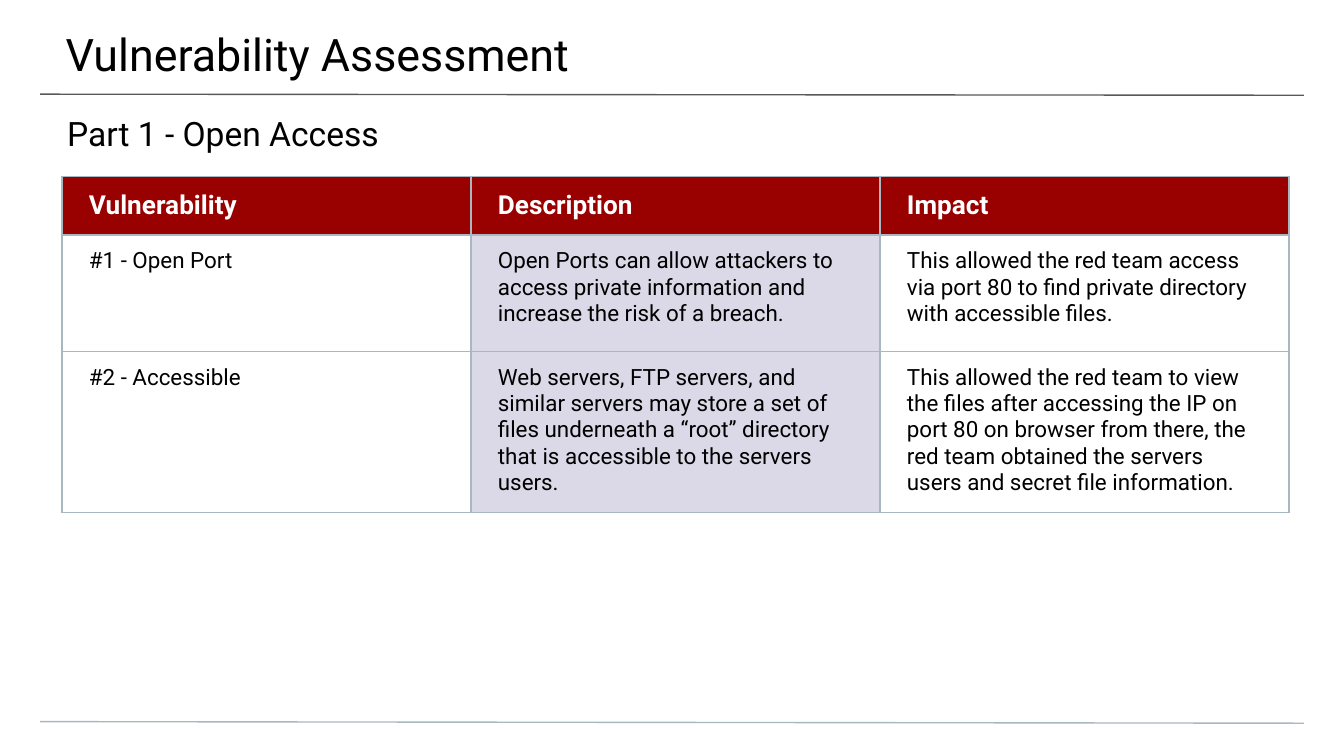
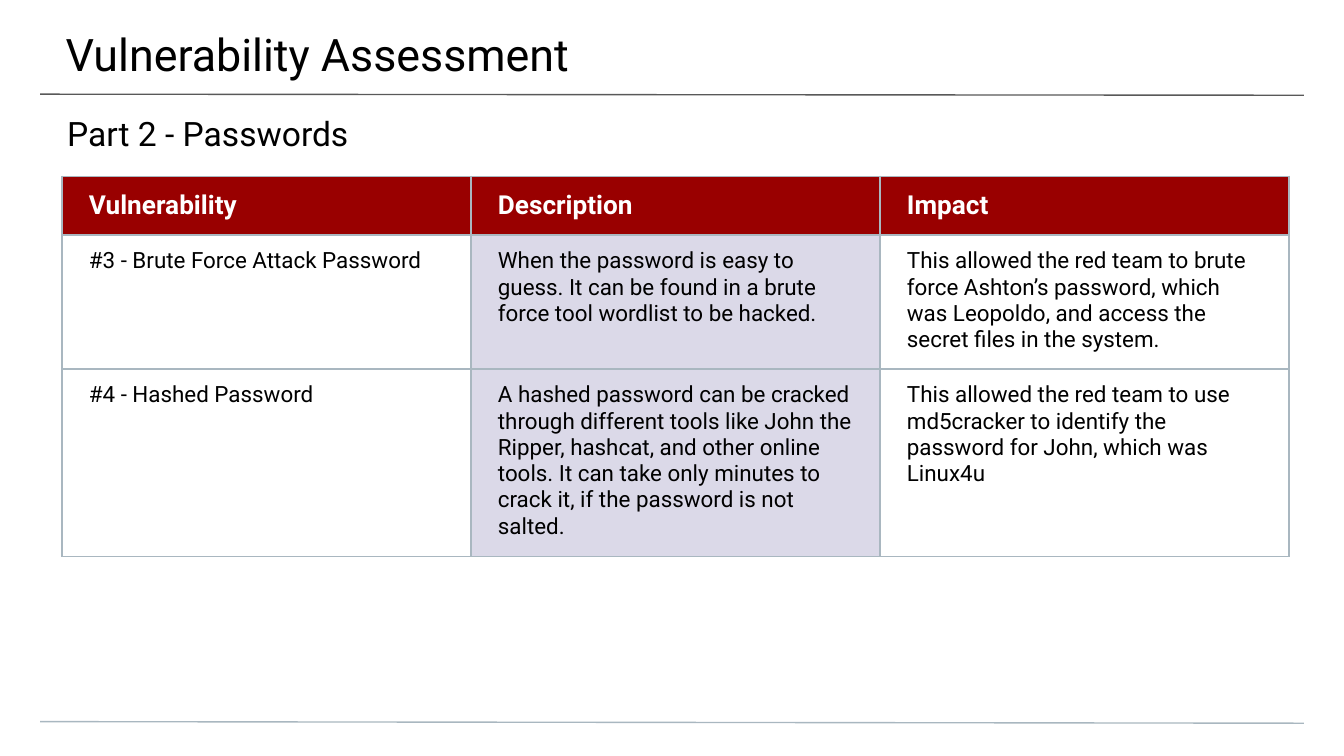
import dataclasses

import lxml.etree
import pptx
import pptx.dml.color
import pptx.enum.shapes
import pptx.enum.text
import pptx.oxml.ns
import pptx.presentation
import pptx.slide
import pptx.table
import pptx.text.text
import pptx.util

Cm = pptx.util.Cm
Pt = pptx.util.Pt
qn = pptx.oxml.ns.qn

FONT = "Roboto"
BLACK = "000000"
WHITE = "FFFFFF"
HEADER_RED = "990000"
DESCRIPTION_LILAC = "DBD9E8"
TITLE_RULE_GREY = "595959"
BORDER_GREY = "A9B7C0"
LINE_WIDTH = Pt(0.75)

TITLE = "Vulnerability Assessment"
HEADINGS = ("Vulnerability", "Description", "Impact")
DESCRIPTION_COLUMN = HEADINGS.index("Description")
COLUMN_WIDTH = Cm(7.73)
ROW_HEIGHTS = (Cm(1.11), Cm(2.2), Cm(2.2))


@dataclasses.dataclass(frozen=True)
class Rule:
    start_y: float
    end_y: float
    color: str


@dataclasses.dataclass(frozen=True)
class Heading:
    left: float
    top: float
    width: float
    height: float
    insets: tuple[float, float, float, float]
    size: int


@dataclasses.dataclass(frozen=True)
class Finding:
    name: str
    description: str
    impact: str


@dataclasses.dataclass(frozen=True)
class Part:
    subtitle: str
    findings: tuple[Finding, ...]


RULES = (Rule(1.78, 1.8, TITLE_RULE_GREY), Rule(13.64, 13.67, BORDER_GREY))
TITLE_BOX = Heading(-0.03, 0, 25.48, 1.47, (1.27, 0.51, 0.76, 0.25), 24)
SUBTITLE_BOX = Heading(0, 1.88, 25.4, 1.02, (1.27, 0.25, 1.27, 0), 18)

PARTS = (
    Part("Part 1 - Open Access", (
        Finding(
            "#1 - Open Port",
            "Open Ports can allow attackers to access private information and "
            "increase the risk of a breach.",
            "This allowed the red team access via port 80 to find private "
            "directory with accessible files.",
        ),
        Finding(
            "#2 - Accessible",
            "Web servers, FTP servers, and similar servers may store a set of files "
            "underneath a “root” directory that is accessible to the servers users.",
            "This allowed the red team to view the files after accessing the IP on "
            "port 80 on browser from there, the red team obtained the servers users "
            "and secret file information.",
        ),
    )),
    Part("Part 2 - Passwords", (
        Finding(
            "#3 - Brute Force Attack Password",
            "When the password is easy to guess. It can be found in a brute force "
            "tool wordlist to be hacked.",
            "This allowed the red team to brute force Ashton’s password, which was "
            "Leopoldo, and access the secret files in the system.",
        ),
        Finding(
            "#4 - Hashed Password",
            "A hashed password can be cracked through different tools like John the "
            "Ripper, hashcat, and other online tools. It can take only minutes to "
            "crack it, if the password is not salted.",
            "This allowed the red team to use md5cracker to identify the password "
            "for John, which was Linux4u",
        ),
    )),
)


def rgb(color: str) -> pptx.dml.color.RGBColor:
    return pptx.dml.color.RGBColor.from_string(color)


def write_text(frame: pptx.text.text.TextFrame, text: str, *, size: int,
               color: str = BLACK, bold: bool = False) -> None:
    frame.word_wrap = True
    run = frame.paragraphs[0].add_run()
    run.text = text
    run.font.name = FONT
    run.font.size = Pt(size)
    run.font.bold = bold
    run.font.color.rgb = rgb(color)


def set_insets(target: pptx.text.text.TextFrame | pptx.table._Cell,
               insets: tuple[float, float, float, float]) -> None:
    (target.margin_left, target.margin_top,
     target.margin_right, target.margin_bottom) = map(Cm, insets)


def draw_rule(slide: pptx.slide.Slide, rule: Rule) -> None:
    connector = slide.shapes.add_connector(
        pptx.enum.shapes.MSO_CONNECTOR.STRAIGHT,
        Cm(0.76), Cm(rule.start_y), Cm(24.64), Cm(rule.end_y))
    connector.line.color.rgb = rgb(rule.color)
    connector.line.width = LINE_WIDTH
    lxml.etree.SubElement(connector._element.spPr, qn("a:effectLst"))


def draw_heading(slide: pptx.slide.Slide, heading: Heading, text: str) -> None:
    shape = slide.shapes.add_textbox(
        Cm(heading.left), Cm(heading.top), Cm(heading.width), Cm(heading.height))
    set_insets(shape.text_frame, heading.insets)
    write_text(shape.text_frame, text, size=heading.size)


def set_borders(cell: pptx.table._Cell) -> None:
    properties = cell._tc.get_or_add_tcPr()
    for index, side in enumerate("LRTB"):
        border = lxml.etree.Element(qn(f"a:ln{side}"), w=str(int(LINE_WIDTH)))
        fill = lxml.etree.SubElement(border, qn("a:solidFill"))
        lxml.etree.SubElement(fill, qn("a:srgbClr"), val=BORDER_GREY)
        properties.insert(index, border)


def format_cell(cell: pptx.table._Cell, text: str, *, header: bool,
                fill: str | None) -> None:
    set_insets(cell, (0.51, 0.25, 0.51, 0.25))
    if fill:
        cell.fill.solid()
        cell.fill.fore_color.rgb = rgb(fill)
    else:
        cell.fill.background()
    if header:
        cell.vertical_anchor = pptx.enum.text.MSO_ANCHOR.MIDDLE
        write_text(cell.text_frame, text, size=14, color=WHITE, bold=True)
    else:
        write_text(cell.text_frame, text, size=12)
    set_borders(cell)


def draw_findings(slide: pptx.slide.Slide, findings: tuple[Finding, ...]) -> None:
    rows = [HEADINGS, *map(dataclasses.astuple, findings)]
    table = slide.shapes.add_table(
        len(rows), len(HEADINGS), Cm(1.17), Cm(3.33),
        COLUMN_WIDTH * len(HEADINGS), sum(ROW_HEIGHTS)).table
    for column in table.columns:
        column.width = COLUMN_WIDTH
    for row, height in zip(table.rows, ROW_HEIGHTS):
        row.height = height
    for row_index, texts in enumerate(rows):
        header = row_index == 0
        for column_index, text in enumerate(texts):
            body_fill = DESCRIPTION_LILAC if column_index == DESCRIPTION_COLUMN else None
            format_cell(table.cell(row_index, column_index), text, header=header,
                        fill=HEADER_RED if header else body_fill)


def draw_part(presentation: pptx.presentation.Presentation, part: Part) -> None:
    slide = presentation.slides.add_slide(presentation.slide_layouts[6])
    slide.background.fill.solid()
    slide.background.fill.fore_color.rgb = rgb(WHITE)
    for rule in RULES:
        draw_rule(slide, rule)
    draw_heading(slide, TITLE_BOX, TITLE)
    draw_heading(slide, SUBTITLE_BOX, part.subtitle)
    draw_findings(slide, part.findings)


def main() -> None:
    presentation = pptx.Presentation()
    presentation.slide_width = Cm(25.4)
    presentation.slide_height = Cm(14.29)
    for part in PARTS:
        draw_part(presentation, part)
    presentation.save("out.pptx")


if __name__ == "__main__":
    main()
